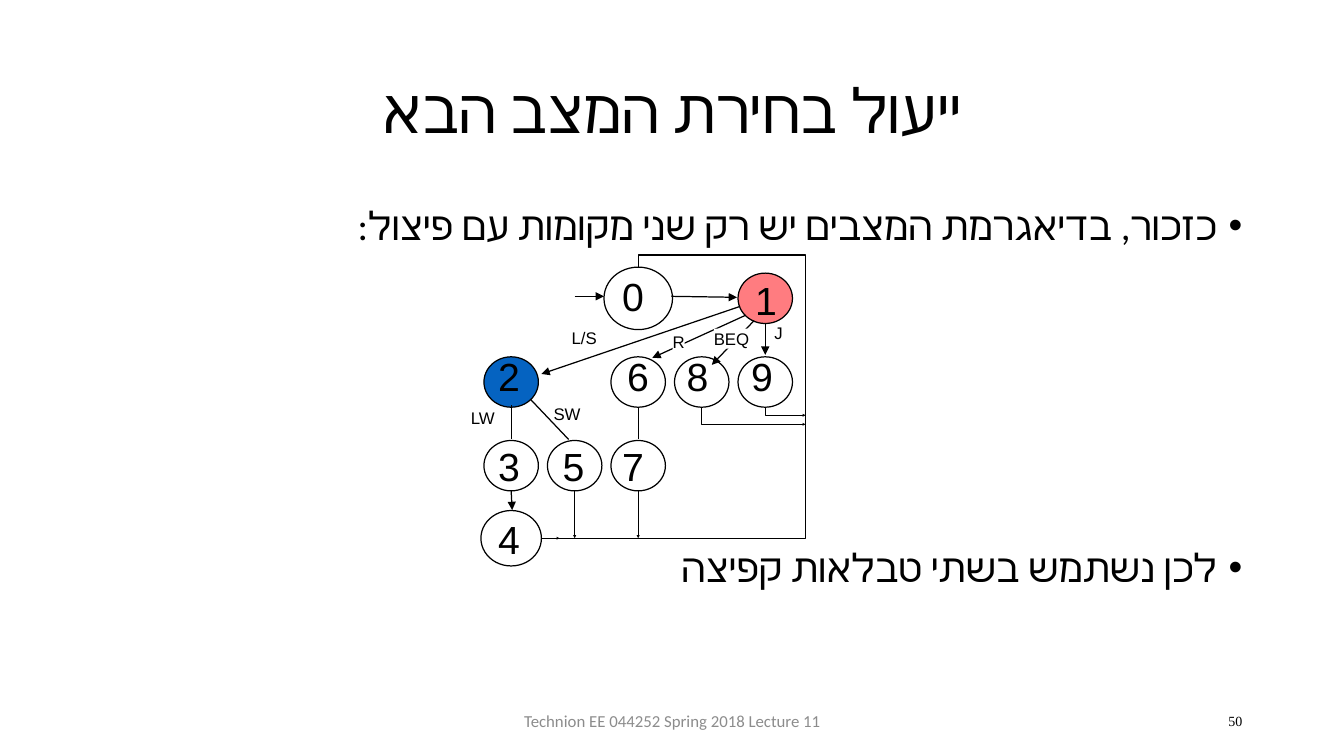
from lxml.etree import SubElement
from pptx import Presentation
from pptx.dml.color import RGBColor
from pptx.enum.shapes import MSO_CONNECTOR, MSO_SHAPE
from pptx.enum.text import MSO_ANCHOR, PP_ALIGN
from pptx.oxml.ns import qn
from pptx.util import Inches, Pt

BLACK = RGBColor(0x00, 0x00, 0x00)
WHITE = RGBColor(0xFF, 0xFF, 0xFF)
GREY = RGBColor(0x8C, 0x8C, 0x8C)
BLUE = RGBColor(0x05, 0x63, 0xC1)
RED = RGBColor(0xFF, 0x7C, 0x80)

LINE_WIDTH = Pt(0.88)
TIGHT = dict(margin_left=0, margin_right=0, margin_top=0, margin_bottom=0,
             word_wrap=False)
MIDDLE = dict(word_wrap=True, vertical_anchor=MSO_ANCHOR.MIDDLE)
TOP = dict(word_wrap=True, vertical_anchor=MSO_ANCHOR.TOP)

COLUMNS = [0.4 + 0.63 * i for i in range(5)]
ROWS = [0.43, 1.26, 2.09, 2.81]
RIGHT_EDGE = 3.32
STATES = [
    ("0", 2, 0, 0.68, 0.62, None, 1.5, 0.17),
    ("1", 4, 0, 0.54, 0.5, RED, 2.82, 0.21),
    ("2", 0, 1, 0.54, 0.5, BLUE, 0.27, 0.97),
    ("6", 2, 1, 0.54, 0.5, None, 1.55, 0.97),
    ("8", 3, 1, 0.54, 0.5, None, 2.14, 0.97),
    ("9", 4, 1, 0.54, 0.5, None, 2.78, 0.97),
    ("3", 0, 2, 0.54, 0.5, None, 0.27, 1.86),
    ("5", 1, 2, 0.54, 0.5, None, 0.91, 1.86),
    ("7", 2, 2, 0.54, 0.5, None, 1.5, 1.86),
    ("4", 0, 3, 0.6, 0.55, None, 0.27, 2.58),
]
ARROWS = [
    ((1.03, 0.41), (1.32, 0.41)),
    ((1.99, 0.41), (2.64, 0.42)),
    ((2.92, 0.68), (2.92, 0.99)),
    ((2.67, 0.51), (0.7, 1.18)),
    ((2.72, 0.6), (1.8, 1.02)),
    ((2.81, 0.65), (2.39, 1.09)),
    ((0.4, 2.34), (0.41, 2.53)),
]
PLAIN_LINES = [
    ((1.66, 1.51), (1.66, 1.83)),
    ((0.4, 1.49), (0.4, 1.83)),
    ((0.59, 1.43), (0.97, 1.83)),
    ((1.03, 2.34), (1.03, 2.78)),
    ((1.66, 2.34), (1.66, 2.78)),
]
RETURN_PATHS = [
    [(0.7, 2.81), (RIGHT_EDGE, 2.81), (RIGHT_EDGE, 0), (1.66, 0), (1.66, 0.13)],
    [(2.92, 1.51), (2.92, 1.59), (3.3, 1.59)],
    [(2.29, 1.51), (2.29, 1.68), (3.3, 1.68)],
]
DOWN_TIPS = [(1.03, 2.81), (1.66, 2.81)]
RIGHT_TIPS = [(0.88, 2.81), (RIGHT_EDGE, 1.59), (RIGHT_EDGE, 1.68)]
BRANCHES = [
    ("LW", 0, 1.52, 0.24, None),
    ("SW", 0.82, 1.48, 0.27, None),
    ("J", 3.01, 0.67, 0.08, None),
    ("R", 2, 0.76, 0.12, WHITE),
    ("L/S", 1, 0.72, 0.25, None),
    ("BEQ", 2.41, 0.73, 0.36, WHITE),
]


def add_text(slide, box, lines, frame_format, size, font="Calibri",
             color=BLACK, align=PP_ALIGN.LEFT, spacing=1.0):
    label = slide.shapes.add_textbox(*map(Inches, box))
    frame = label.text_frame
    for name, value in frame_format.items():
        setattr(frame, name, value)
    frame.text = "\n".join(lines)
    for paragraph in frame.paragraphs:
        paragraph.alignment = align
        paragraph.line_spacing = spacing
        run_font = paragraph.runs[0].font
        for name, value in dict(size=Pt(size), name=font).items():
            setattr(run_font, name, value)
        run_font.color.rgb = color
        SubElement(paragraph.runs[0]._r.get_or_add_rPr(), qn("a:cs"), typeface=font)
    return label


def style_outline(shape, fill=None):
    shape.shadow.inherit = False
    if fill is None:
        shape.fill.background()
    else:
        shape.fill.solid()
        shape.fill.fore_color.rgb = fill
    shape.line.color.rgb = BLACK
    shape.line.width = LINE_WIDTH


def add_line(slide, left, top, start, end, arrow):
    (x1, y1), (x2, y2) = start, end
    line = slide.shapes.add_connector(
        MSO_CONNECTOR.STRAIGHT, Inches(left + x1), Inches(top + y1),
        Inches(left + x2), Inches(top + y2))
    line.line.color.rgb = BLACK
    line.line.width = LINE_WIDTH
    if arrow:
        SubElement(line.line._get_or_add_ln(), qn("a:tailEnd"), type="triangle")
    SubElement(line._element.spPr, qn("a:effectLst"))


def add_path(slide, left, top, points, close=False):
    corners = [(Inches(left + x), Inches(top + y)) for x, y in points]
    builder = slide.shapes.build_freeform(*corners[0])
    builder.add_line_segments(corners[1:], close=close)
    route = builder.convert_to_shape()
    style_outline(route, BLACK if close else None)
    if close:
        route.line.fill.background()


def add_title(slide, box):
    add_text(slide, box, ["ייעול בחירת המצב הבא"], MIDDLE, 44,
             align=PP_ALIGN.CENTER, spacing=0.9)


def add_bullets(slide, box):
    body = add_text(slide, box, [
        "כזכור, בדיאגרמת המצבים יש רק שני מקומות עם פיצול:",
        "לכן נשתמש בשתי טבלאות קפיצה",
    ], TOP, 28, align=PP_ALIGN.RIGHT, spacing=0.9)
    for paragraph, gap in zip(body.text_frame.paragraphs, (10, 214)):
        paragraph.space_before = Pt(gap)
        properties = paragraph._p.get_or_add_pPr()
        for name, value in dict(marL=Inches(0.25), indent=Inches(-0.25), rtl=1).items():
            properties.set(name, str(value))
        SubElement(properties, qn("a:buFont"), typeface="Arial")
        SubElement(properties, qn("a:buChar"), char="•")


def add_state_diagram(slide, left, top):
    for _, column, row, width, height, fill, _, _ in STATES:
        state = slide.shapes.add_shape(
            MSO_SHAPE.OVAL, Inches(left + COLUMNS[column] - width / 2),
            Inches(top + ROWS[row] - height / 2), Inches(width), Inches(height))
        style_outline(state, fill)
    for lines, arrow in ((ARROWS, True), (PLAIN_LINES, False)):
        for start, end in lines:
            add_line(slide, left, top, start, end, arrow)
    for points in RETURN_PATHS:
        add_path(slide, left, top, points)
    for x, y in DOWN_TIPS:
        add_path(slide, left, top,
                 [(x + 0.015, y - 0.03), (x - 0.015, y - 0.03), (x, y)], close=True)
    for x, y in RIGHT_TIPS:
        add_path(slide, left, top,
                 [(x - 0.03, y - 0.015), (x - 0.03, y + 0.015), (x, y)], close=True)
    for number, *_, x, y in STATES:
        add_text(slide, (left + x, top + y, 0.22, 0.47), [number], TIGHT, 28, "Arial")
    for name, x, y, width, fill in BRANCHES:
        branch = add_text(slide, (left + x, top + y, width, 0.2), [name],
                          TIGHT, 12, "Arial")
        if fill is not None:
            branch.fill.solid()
            branch.fill.fore_color.rgb = fill


def add_footer(slide, left, top):
    add_text(slide, (left, top, 4.5, 0.4),
             ["Technion EE 044252 Spring 2018 Lecture 11"], MIDDLE, 12,
             color=GREY, align=PP_ALIGN.CENTER)
    add_text(slide, (left + 5, top, 3, 0.4), ["50"], MIDDLE, 10,
             "Times New Roman", align=PP_ALIGN.RIGHT)


def main():
    deck = Presentation()
    deck.slide_width = Inches(13.33)
    deck.slide_height = Inches(7.5)
    slide = deck.slides.add_slide(deck.slide_layouts[6])
    add_title(slide, (0.92, 0.4, 11.5, 1.45))
    add_bullets(slide, (0.92, 2, 11.5, 4.76))
    add_state_diagram(slide, 4.67, 2.53)
    add_footer(slide, 4.42, 6.95)
    deck.save("out.pptx")


if __name__ == "__main__":
    main()
